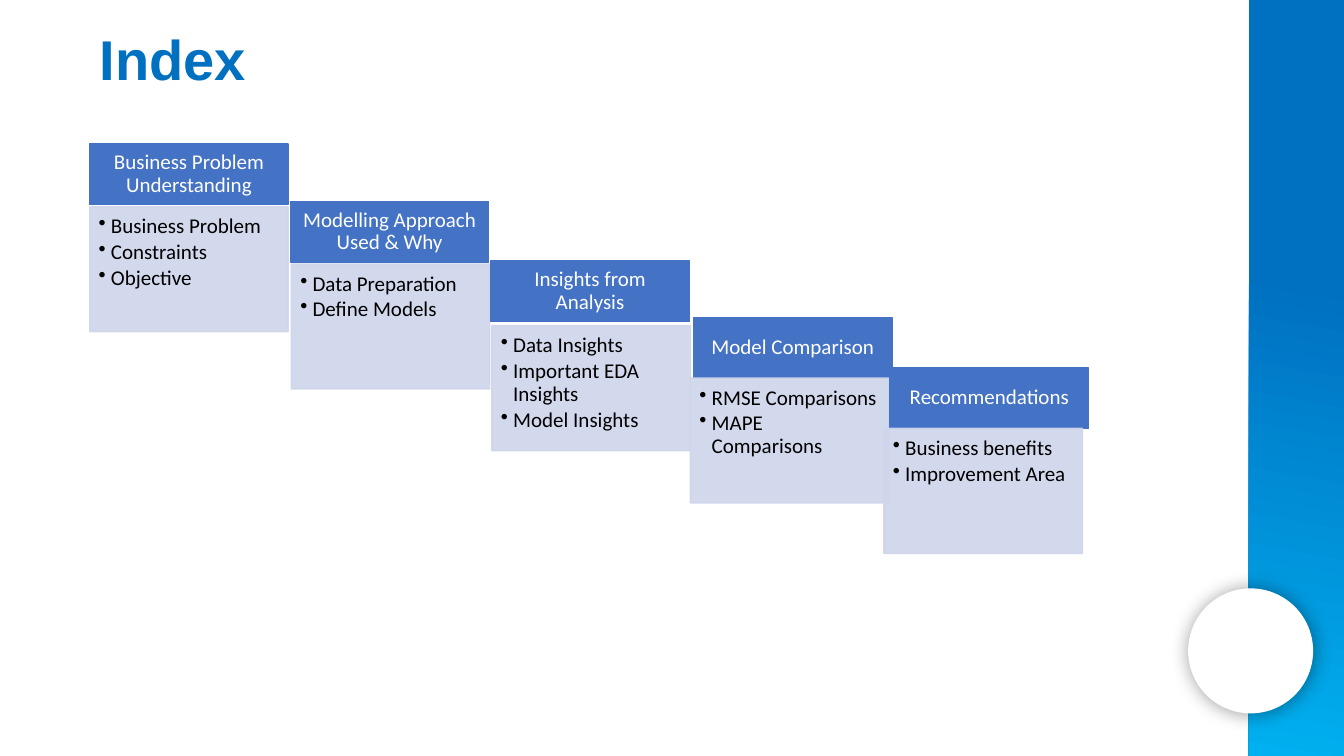
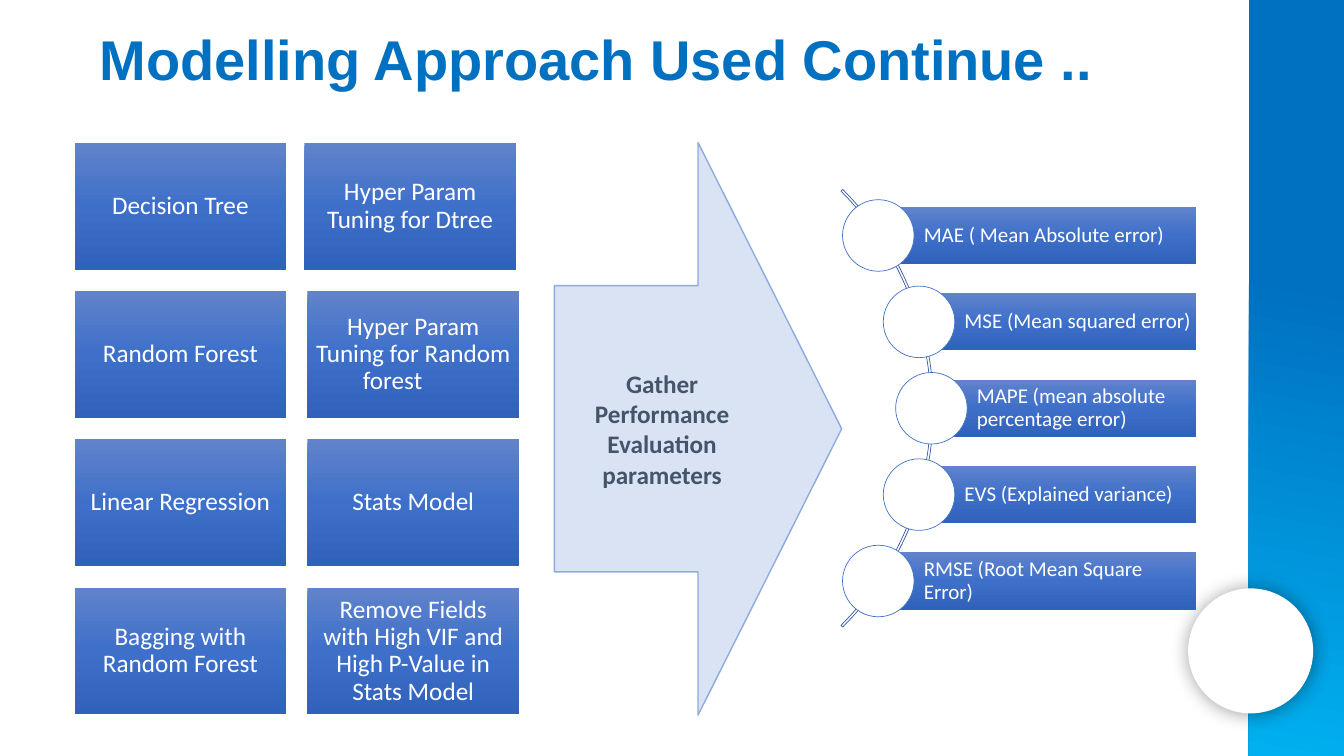
import math

import lxml.etree
import pptx
import pptx.dml.color
import pptx.enum.shapes
import pptx.enum.text
import pptx.oxml
import pptx.oxml.ns
import pptx.util

Pt = pptx.util.Pt
qn = pptx.oxml.ns.qn
SHAPE = pptx.enum.shapes.MSO_SHAPE
ALIGN = pptx.enum.text.PP_ALIGN
ANCHOR = pptx.enum.text.MSO_ANCHOR

COLORS = {
    "title": "0070C0", "sky": "00B0F0", "white": "FFFFFF", "black": "000000",
    "header": "4472C4", "panel": "CFD5EA",
    "box_top": "6183CB", "box_mid": "3E70CA", "box_end": "3062BB",
    "arrow": "DAE3F3", "arrow_line": "8FAADC", "arrow_text": "44546A",
    "arc": "365B9D",
}
BAND_STOPS = [(37, "title"), (100, "sky")]
BOX_STOPS = [(0, "box_top"), (50, "box_mid"), (100, "box_end")]

# Index: header text, header corner, panel corner, bullets
INDEX_TITLE = "Index"
STEPS = [
    ("Business Problem Understanding", (64.1, 103), (64.1, 147.6),
     ["Business Problem", "Constraints", "Objective"]),
    ("Modelling Approach Used & Why", (207.4, 144), (208.1, 188.6),
     ["Data Preparation", "Define Models"]),
    ("Insights from Analysis", (350.6, 186.5), (351.4, 232.6),
     ["Data Insights", "Important EDA Insights", "Model Insights"]),
    ("Model Comparison", (495.4, 226.8), (493.2, 270),
     ["RMSE Comparisons", "MAPE Comparisons"]),
    ("Recommendations", (635.8, 262.8), (631.4, 306),
     ["Business benefits", "Improvement Area"]),
]
STEP_W, HEADER_H, PANEL_H = 141.8, 43.2, 89.3

# Modelling: pairs of models, then metrics along an arc
MODEL_TITLE = "Modelling Approach Used Continue .."
MODELS = [
    ("Decision Tree", "Hyper Param Tuning for Dtree"),
    ("Random Forest", "Hyper Param Tuning for Random forest\t"),
    ("Linear Regression", "Stats Model"),
    ("Bagging with Random Forest",
     "Remove Fields with High VIF and High P-Value in Stats Model"),
]
ARROW_TEXT = "Gather Performance Evaluation parameters"
METRICS = [
    "MAE ( Mean Absolute error)",
    "MSE (Mean squared error)",
    "MAPE (mean absolute percentage error)",
    "EVS (Explained variance)",
    "RMSE (Root Mean Square Error)",
]
BOX_W, BOX_H, BOX_TOP, ROW_STEP = 151.2, 90.7, 102, 105.9
LEFT_X, RIGHT_X, FIRST_RIGHT_X = 53.3, 219.6, 217.4
ARC_X, ARC_Y, ARC_R, NODE_R = 445.7, 291.6, 221, 219.6
METRIC_STEP, METRIC_H, METRIC_RIGHT, DOT = 61.7, 41, 854.6, 51.1


def rgb(name):
    """Return the colour of that name."""
    return pptx.dml.color.RGBColor.from_string(COLORS[name])


def add_block(s, kind, at, fill=None, line=None, width=1):
    """Add a shape without shadow; at is left, top, width, height."""
    sp = s.shapes.add_shape(kind, *[Pt(v) for v in at])
    sp.shadow.inherit = False
    if fill:
        sp.fill.solid()
        sp.fill.fore_color.rgb = rgb(fill)
    else:
        sp.fill.background()
    if line:
        sp.line.color.rgb = rgb(line)
        sp.line.width = Pt(width)
    else:
        sp.line.fill.background()
    return sp


def set_gradient(sp, stops, angle):
    """Fill a shape with a linear gradient, angle clockwise in degrees."""
    sp.fill.gradient()
    grad = sp._element.spPr.find(qn("a:gradFill"))
    gs_list = grad.find(qn("a:gsLst"))
    for gs in list(gs_list):
        gs_list.remove(gs)
    for pos, name in stops:
        gs = lxml.etree.SubElement(gs_list, qn("a:gs"), pos=str(pos * 1000))
        lxml.etree.SubElement(gs, qn("a:srgbClr"), val=COLORS[name])
    grad.find(qn("a:lin")).set("ang", str(angle * 60000))


def set_alpha(sp, percent):
    """Make the fill and line of a shape partly transparent."""
    for clr in sp._element.spPr.iter(qn("a:srgbClr")):
        lxml.etree.SubElement(clr, qn("a:alpha"), val=str(percent * 1000))


def set_shadow(sp, blur, dist, angle, percent):
    """Give a shape a soft black outer shadow."""
    effects = sp._element.spPr.find(qn("a:effectLst"))
    shadow = lxml.etree.SubElement(
        effects, qn("a:outerShdw"), blurRad=str(Pt(blur)), dist=str(Pt(dist)),
        dir=str(angle * 60000), algn="ctr", rotWithShape="0")
    clr = lxml.etree.SubElement(shadow, qn("a:srgbClr"), val=COLORS["black"])
    lxml.etree.SubElement(clr, qn("a:alpha"), val=str(percent * 1000))


def set_bullet(p, indent):
    """Give a paragraph a hanging round bullet."""
    pr = p._p.get_or_add_pPr()
    pr.set("marL", str(Pt(indent)))
    pr.set("indent", str(-Pt(indent)))
    lxml.etree.SubElement(pr, qn("a:buChar"), char="•")


def write(sp, lines, size, color, insets=(7.2, 3.6, 7.2, 3.6), align=ALIGN.CENTER,
          anchor=ANCHOR.MIDDLE, font="Calibri", bold=False, spacing=0.9,
          bullets=False):
    """Write one paragraph per line into a shape."""
    tf = sp.text_frame
    tf.word_wrap = True
    tf.vertical_anchor = anchor
    tf.margin_left, tf.margin_top, tf.margin_right, tf.margin_bottom = map(Pt, insets)
    for i, line in enumerate(lines):
        p = tf.add_paragraph() if i else tf.paragraphs[0]
        p.alignment = align
        p.line_spacing = spacing
        if bullets:
            p.space_after = Pt(2.25)
            set_bullet(p, 8.8)
        r = p.add_run()
        r.text = line
        r.font.name, r.font.size, r.font.bold = font, Pt(size), bold
        r.font.color.rgb = rgb(color)


def add_base(prs, title):
    """Add a slide with the side band, the white disc and the title."""
    s = prs.slides.add_slide(prs.slide_layouts[6])
    band = add_block(s, SHAPE.RECTANGLE, (892, 0, 68, 540))
    set_gradient(band, BAND_STOPS, 100)
    disc = add_block(s, SHAPE.OVAL, (848.7, 420.3, 89.3, 89.3), "white")
    set_shadow(disc, 14, 1, 43, 40)
    box = s.shapes.add_textbox(Pt(64.1), Pt(13.7), Pt(734.4), Pt(55.4))
    write(box, [title], 40, "title", align=ALIGN.LEFT, anchor=ANCHOR.TOP,
          font="Arial", bold=True, spacing=1)
    return s


def add_gradient_box(s, at, text, size, **style):
    """Add a blue gradient box with white text."""
    sp = add_block(s, SHAPE.RECTANGLE, at)
    set_gradient(sp, BOX_STOPS, 90)
    write(sp, [text], size, "white", **style)


def add_index(prs):
    """Build the staircase of topics."""
    s = add_base(prs, INDEX_TITLE)
    for heading, head_at, panel_at, items in STEPS:
        header = add_block(s, SHAPE.RECTANGLE, (*head_at, STEP_W, HEADER_H),
                           "header", "header")
        write(header, [heading], 15, "white", (8.4, 4.8, 8.4, 4.8))
        panel = add_block(s, SHAPE.RECTANGLE, (*panel_at, STEP_W, PANEL_H),
                          "panel", "panel")
        set_alpha(panel, 90)
        write(panel, items, 15, "black", (6.4, 6.4, 8.5, 9.6), ALIGN.LEFT,
              ANCHOR.TOP, bullets=True)


def add_modelling(prs):
    """Build the model grid, the arrow and the arc of metrics."""
    s = add_base(prs, MODEL_TITLE)
    for row, pair in enumerate(MODELS):
        columns = (LEFT_X, RIGHT_X if row else FIRST_RIGHT_X)
        for x, text in zip(columns, pair):
            add_gradient_box(s, (x, BOX_TOP + row * ROW_STEP, BOX_W, BOX_H), text,
                             18, insets=(5.4, 5.4, 5.4, 5.4))

    arrow = add_block(s, SHAPE.RIGHT_ARROW, (396, 101.8, 205.2, 409),
                      "arrow", "arrow_line")
    write(arrow, [ARROW_TEXT], 18, "arrow_text", bold=True, spacing=1)

    arc = add_block(s, SHAPE.BLOCK_ARC,
                    (ARC_X - ARC_R, ARC_Y - ARC_R, 2 * ARC_R, 2 * ARC_R),
                    line="arc", width=0.5)
    for i, value in enumerate((189, 27, 0.004)):
        arc.adjustments[i] = value

    for i, text in enumerate(METRICS):
        dy = (i - (len(METRICS) - 1) / 2) * METRIC_STEP
        x, y = ARC_X + math.sqrt(NODE_R ** 2 - dy ** 2), ARC_Y + dy
        add_gradient_box(s, (x, y - METRIC_H / 2, METRIC_RIGHT - x, METRIC_H), text,
                         15, insets=(32.5, 2.9, 2.9, 2.9), align=ALIGN.LEFT)
        add_block(s, SHAPE.OVAL, (x - DOT / 2, y - DOT / 2, DOT, DOT),
                  "white", "header", 0.5)


prs = pptx.Presentation()
prs.slide_width, prs.slide_height = Pt(960), Pt(540)
add_index(prs)
add_modelling(prs)
prs.save("out.pptx")
